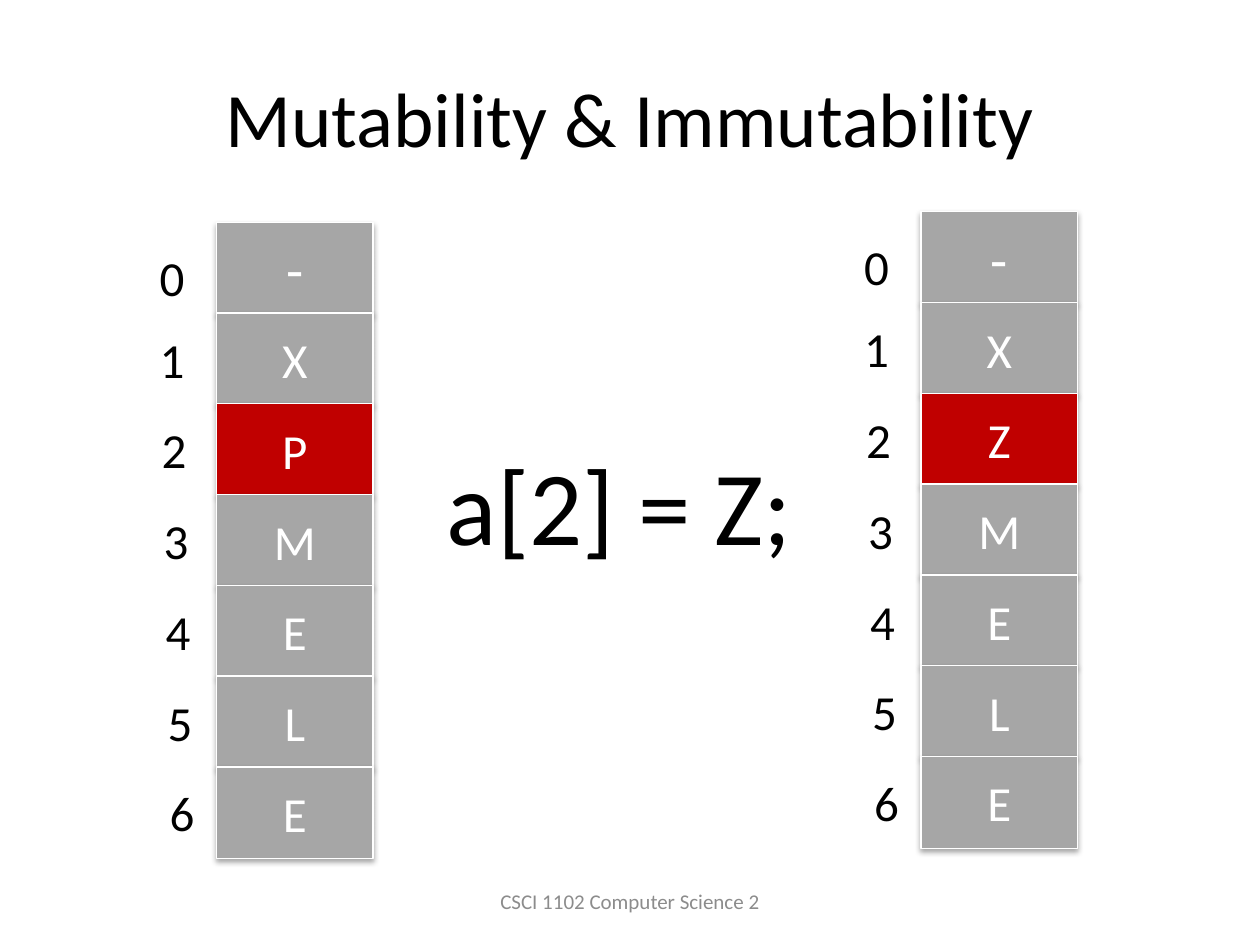
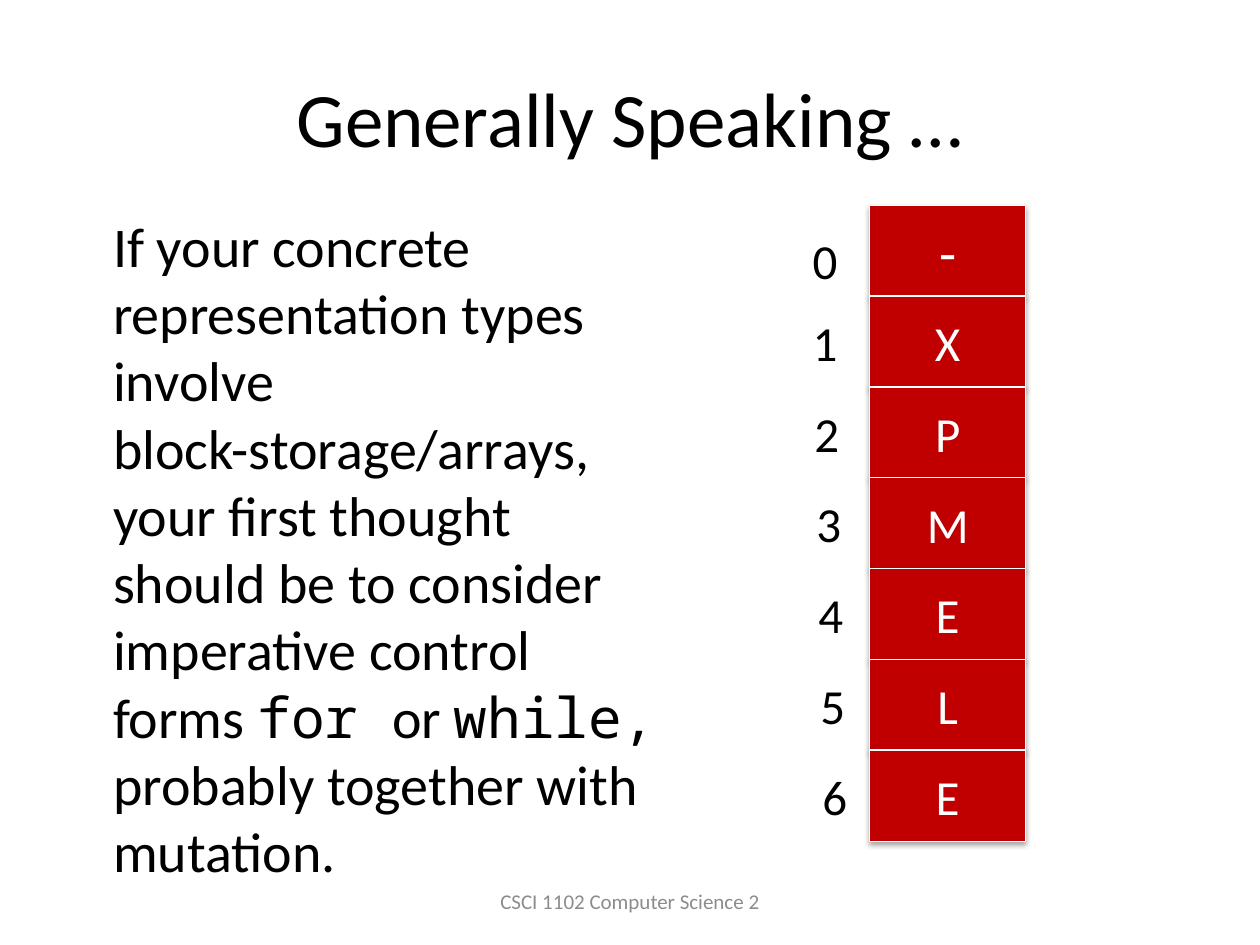
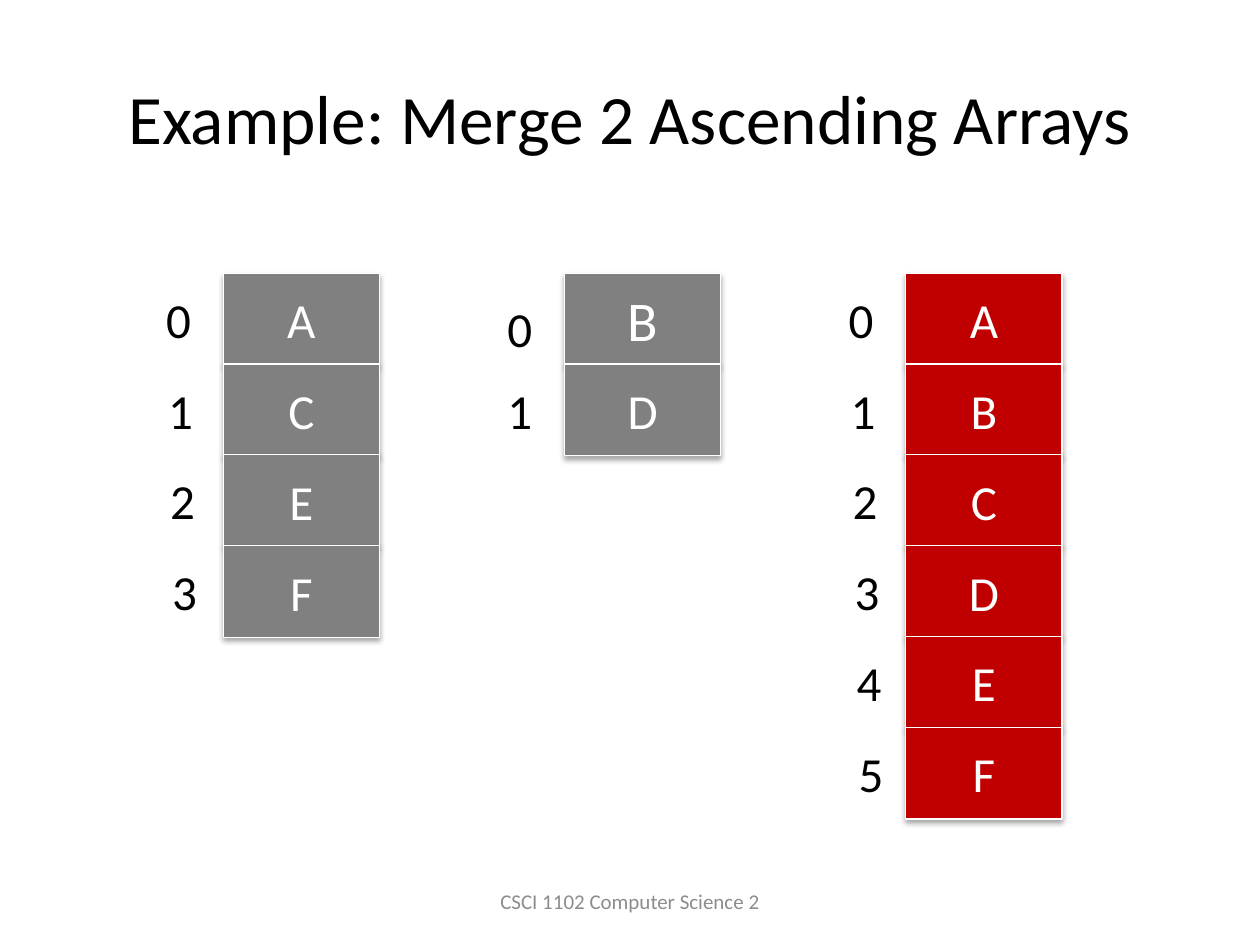
from pptx import Presentation
from pptx.util import Cm, Pt
from pptx.dml.color import RGBColor as RGB
from pptx.enum.shapes import MSO_SHAPE as Shape
from pptx.enum.text import MSO_ANCHOR as Anchor, MSO_AUTO_SIZE as Fit, PP_ALIGN as Align
from pptx.oxml import parse_xml

INK = {
    "black": "000000",
    "white": "FFFFFF",
    "light": "A6A6A6",
    "dark": "808080",
    "red": "C00000",
    "foot": "8C8C8C",
}
SANS, MONO = "Calibri", "Noto Sans Mono"
STEP, WIDE, HIGH = 1.83, 3.15, 1.85
SHADE = (
    '<a:outerShdw xmlns:a="http://schemas.openxmlformats.org/drawingml/2006/main" '
    'blurRad="40000" dist="23000" dir="5400000" rotWithShape="0">'
    '<a:srgbClr val="000000"><a:alpha val="35000"/></a:srgbClr></a:outerShdw>'
)


def write(frame, runs, size, ink="black", align=Align.LEFT):
    para = frame.paragraphs[0]
    para.alignment = align
    for text, face in runs:
        run = para.add_run()
        run.text = text
        run.font.name = face
        run.font.size = Pt(size)
        run.font.color.rgb = RGB.from_string(INK[ink])


def stack(slide, left, top, items, inks, lead):
    group = slide.shapes.add_group_shape()
    for i, (item, ink) in enumerate(zip(items, inks)):
        cell = group.shapes.add_shape(
            Shape.RECTANGLE, Cm(left), Cm(top + i * STEP), Cm(WIDE), Cm(HIGH))
        cell.fill.solid()
        cell.fill.fore_color.rgb = RGB.from_string(INK[ink])
        cell.line.color.rgb = RGB.from_string(INK["white"])
        cell.line.width = Pt(0.75)
        cell.shadow.inherit = False
        cell._element.spPr.effectLst.append(parse_xml(SHADE)) if hasattr(
            cell._element.spPr, "effectLst") else None
        cell.text_frame.vertical_anchor = Anchor.MIDDLE
        size = 32 if lead and i == 0 else 28
        write(cell.text_frame, [(item, SANS)], size, "white", Align.CENTER)
    for i in range(len(items)):
        shift = max(i - 1, 0) if lead else i
        drop = 0.38 if lead and i == 0 else 0.2
        label = group.shapes.add_textbox(
            Cm(left - 1.4 + 0.04 * shift), Cm(top + i * STEP + drop), Cm(1.02), Cm(1.45))
        label.text_frame.word_wrap = False
        label.text_frame.auto_size = Fit.SHAPE_TO_FIT_TEXT
        write(label.text_frame, [(str(i), SANS)], 28)


deck = Presentation()
deck.slide_width, deck.slide_height = Cm(25.4), Cm(19.05)

slides = []
for name, size in [
    ("Mutability & Immutability", 44),
    ("Generally Speaking …", 44),
    ("Example: Merge 2 Ascending Arrays", 39.6),
]:
    slide = deck.slides.add_slide(deck.slide_layouts[5])
    title = slide.shapes.title
    title.left, title.top, title.width, title.height = Cm(1.27), Cm(0.76), Cm(22.86), Cm(3.18)
    title.text_frame.vertical_anchor = Anchor.MIDDLE
    write(title.text_frame, [(name, SANS)], size, "black", Align.CENTER)
    foot = slide.shapes.add_textbox(Cm(8.68), Cm(17.66), Cm(8.04), Cm(1.01))
    foot.text_frame.word_wrap = True
    foot.text_frame.vertical_anchor = Anchor.MIDDLE
    write(foot.text_frame, [("CSCI 1102 Computer Science 2", SANS)], 12, "foot", Align.CENTER)
    slides.append(slide)

change, advice, merge = slides

mixed = ["light"] * 2 + ["red"] + ["light"] * 4
stack(change, 18.57, 4.27, "-XZMELE", mixed, True)
stack(change, 4.37, 4.48, "-XPMELE", mixed, True)
code = change.shapes.add_textbox(Cm(8.76), Cm(8.76), Cm(7.54), Cm(2.82))
code.text_frame.word_wrap = False
code.text_frame.auto_size = Fit.SHAPE_TO_FIT_TEXT
write(code.text_frame, [("a[2] = Z;", SANS)], 60)

note = advice.shapes.add_textbox(Cm(2.03), Cm(4.14), Cm(11.79), Cm(12.57))
note.text_frame.word_wrap = True
note.text_frame.auto_size = Fit.SHAPE_TO_FIT_TEXT
write(note.text_frame, [
    ("If your concrete representation types involve block-storage/arrays, "
     "your first thought should be to consider imperative control forms ", SANS),
    ("for ", MONO),
    ("or ", SANS),
    ("while,", MONO),
    (" probably together with mutation.", SANS),
], 32)
stack(advice, 17.53, 4.14, "-XPMELE", ["red"] * 7, True)

for left, items, ink, lead in [
    (18.26, "ABCDEF", "red", False),
    (4.5, "ACEF", "dark", False),
    (11.38, "BD", "dark", True),
]:
    stack(merge, left, 5.51, items, [ink] * len(items), lead)

deck.save("out.pptx")
